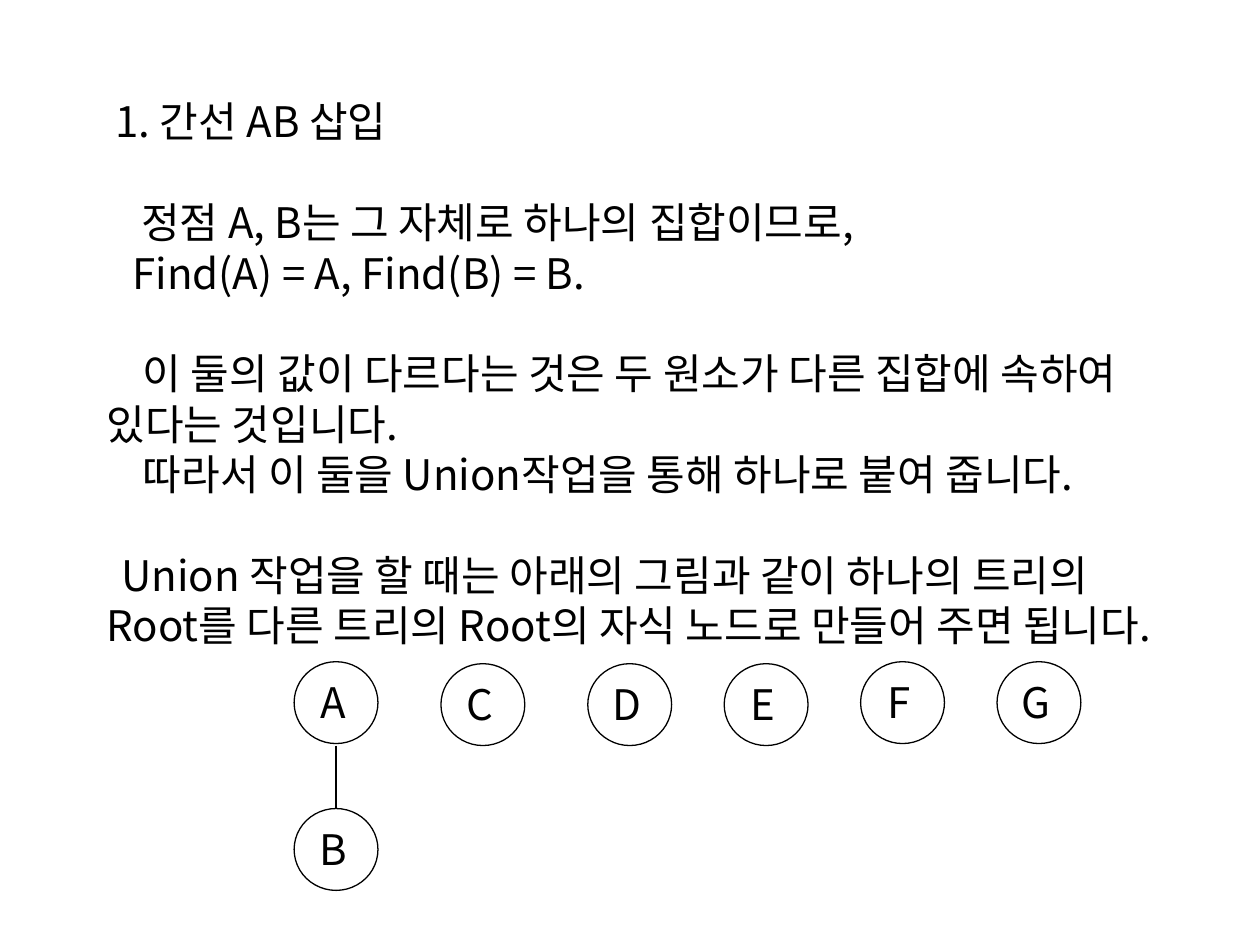
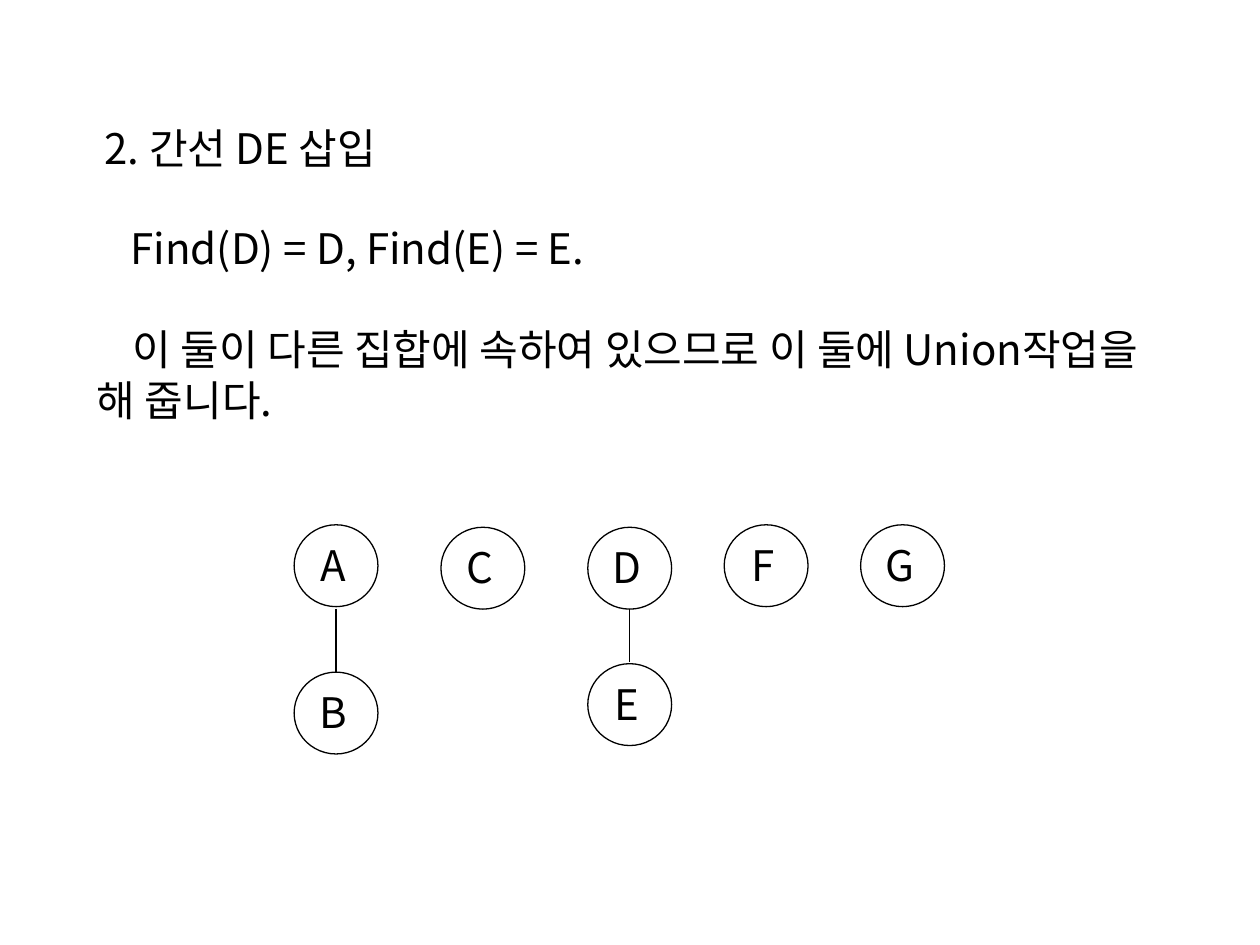
from pptx import Presentation
from pptx.dml.color import RGBColor
from pptx.enum.shapes import MSO_CONNECTOR, MSO_SHAPE
from pptx.enum.text import MSO_ANCHOR, PP_ALIGN
from pptx.oxml.ns import qn
from pptx.util import Cm, Pt
from lxml import etree

OVAL = MSO_SHAPE.OVAL
LINE = MSO_CONNECTOR.STRAIGHT
MIDDLE, TOP = MSO_ANCHOR.MIDDLE, MSO_ANCHOR.TOP
LEFT, CENTER = PP_ALIGN.LEFT, PP_ALIGN.CENTER

FONT = "Noto Sans CJK KR"
INK = "000000"
PAPER = "FFFFFF"
SIZE = 24
PITCH = 28.8
NODE_W, NODE_H = 1.69, 1.65
COLS = [5.93 + 2.96 * min(i, 2) + 2.75 * max(i - 2, 0) for i in range(6)]


def color(code):
    return RGBColor.from_string(code)


def write(frame, text, first=False, indent=0, gap=0, align=LEFT):
    par = frame.paragraphs[0] if first else frame.add_paragraph()
    par.alignment = align
    par.line_spacing = Pt(PITCH)
    par.space_before = Pt(gap)
    par._p.get_or_add_pPr().set("indent", str(Cm(indent)))
    run = par.add_run()
    run.text = text
    run.font.name = FONT
    run.font.size = Pt(SIZE)
    run.font.color.rgb = color(INK)
    east = etree.SubElement(run._r.get_or_add_rPr(), qn("a:ea"))
    east.set("typeface", FONT)


class Deck:
    def __init__(self):
        self.prs = Presentation()
        self.prs.slide_width = Cm(25.4)
        self.prs.slide_height = Cm(19.05)

    def page(self):
        self.slide = self.prs.slides.add_slide(self.prs.slide_layouts[6])
        fill = self.slide.background.fill
        fill.solid()
        fill.fore_color.rgb = color(PAPER)

    def group(self):
        self.tree = self.slide.shapes.add_group_shape().shapes

    def box(self, home, x, y, w, h, anchor, wrap):
        frame = home.add_textbox(Cm(x), Cm(y), Cm(w), Cm(h)).text_frame
        frame.word_wrap = wrap
        frame.vertical_anchor = anchor
        return frame

    def body(self, x, h, items):
        frame = self.box(self.slide.shapes, x, 1.7, 21.8, h, MIDDLE, True)
        for i, (text, indent, blank) in enumerate(items):
            write(frame, text, first=i == 0, indent=indent,
                  gap=PITCH if blank else 0)

    def node(self, name, col, y):
        x = COLS[col]
        oval = self.tree.add_shape(OVAL, Cm(x), Cm(y), Cm(NODE_W), Cm(NODE_H))
        oval.shadow.inherit = False
        oval.fill.background()
        oval.line.color.rgb = color(INK)
        oval.line.width = Pt(0.75)
        frame = self.box(self.tree, x + 0.25, y + 0.17, 1.06, 1.27, TOP, False)
        write(frame, name, first=True, align=CENTER)

    def edge(self, col, top, end):
        x = Cm(COLS[col] + NODE_W / 2)
        line = self.tree.add_connector(LINE, x, Cm(top), x, Cm(end))
        line.line.color.rgb = color(INK)
        line.line.width = Pt(0.75)
        etree.SubElement(line._element.spPr, qn("a:effectLst"))

    def forest(self, nodes, edges):
        self.group()
        for node in nodes:
            self.node(*node)
        for edge in edges:
            self.edge(*edge)


def main():
    deck = Deck()

    deck.page()
    deck.body(1.9, 11.64, [
        ("1. 간선 AB 삽입", 0.18, False),
        ("정점 A, B는 그 자체로 하나의 집합이므로,", 0.7, True),
        ("Find(A) = A, Find(B) = B.", 0.52, False),
        ("이 둘의 값이 다르다는 것은 두 원소가 다른 집합에 속하여 있다는 것입니다.", 0.73, True),
        ("따라서 이 둘을 Union작업을 통해 하나로 붙여 줍니다.", 0.73, False),
        ("Union 작업을 할 때는 아래의 그림과 같이 하나의 트리의 Root를 "
         "다른 트리의 Root의 자식 노드로 만들어 주면 됩니다.", 0.3, True),
    ])
    deck.forest(
        [("A", 0, 13.34), ("B", 0, 16.3), ("C", 1, 13.38), ("D", 2, 13.38),
         ("E", 3, 13.38), ("F", 4, 13.34), ("G", 5, 13.34)],
        [(0, 15.03, 16.3)])

    deck.page()
    deck.body(1.7, 7.62, [
        ("2. 간선 DE 삽입", 0.16, False),
        ("Find(D) = D, Find(E) = E.", 0.68, True),
        ("이 둘이 다른 집합에 속하여 있으므로 이 둘에 Union작업을 해 줍니다.", 0.73, True),
    ])
    deck.forest(
        [("A", 0, 10.58), ("B", 0, 13.55), ("C", 1, 10.63), ("D", 2, 10.63),
         ("E", 2, 13.38), ("F", 3, 10.58), ("G", 4, 10.58)],
        [(0, 12.27, 13.55), (2, 12.27, 13.34)])

    deck.prs.save("out.pptx")


if __name__ == "__main__":
    main()
